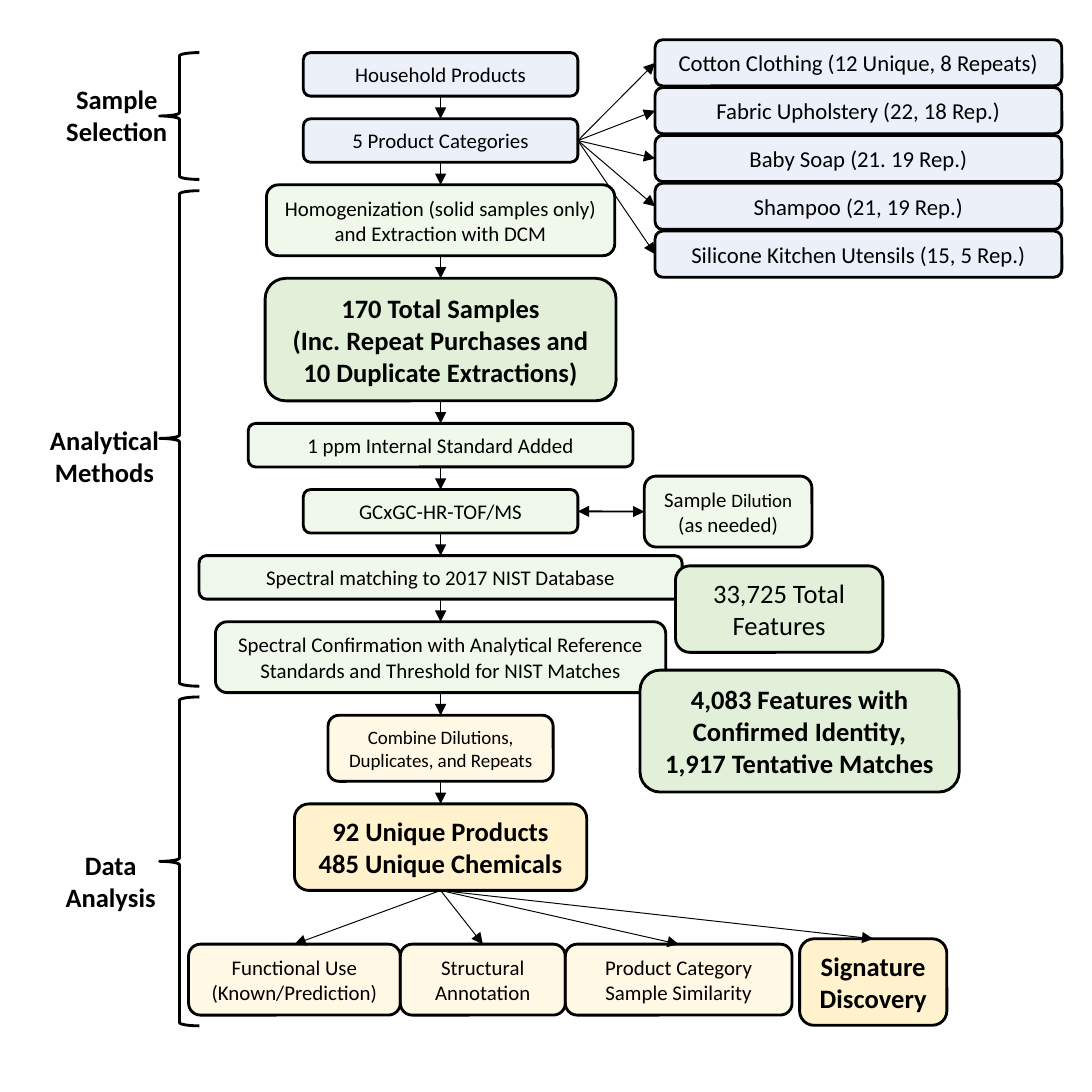
from lxml import etree
from pptx import Presentation
from pptx.dml.color import RGBColor
from pptx.enum.shapes import MSO_CONNECTOR, MSO_SHAPE
from pptx.enum.text import MSO_ANCHOR, MSO_AUTO_SIZE, PP_ALIGN
from pptx.oxml.ns import qn
from pptx.util import Cm, Pt

ROUNDED = MSO_SHAPE.ROUNDED_RECTANGLE
LEFT_BRACE = MSO_SHAPE.LEFT_BRACE
STRAIGHT = MSO_CONNECTOR.STRAIGHT
MIDDLE = MSO_ANCHOR.MIDDLE
TOP_ANCHOR = MSO_ANCHOR.TOP
CENTER = PP_ALIGN.CENTER
GROW = MSO_AUTO_SIZE.SHAPE_TO_FIT_TEXT

FONT = "Calibri"
BLACK = "000000"
BLUE = "DAE3F3"
GREEN = "E2F0D9"
YELLOW = "FFF2CC"
TOP, LEFT, BOTTOM, RIGHT = range(4)


def color(value):
    return RGBColor.from_string(value)


class FlowChart:
    def __init__(self, slide):
        self.shapes = slide.shapes

    def set_text(self, shape, text, size, bold, anchor):
        frame = shape.text_frame
        frame.word_wrap = True
        frame.auto_size = GROW
        frame.vertical_anchor = anchor
        frame.text = text
        for paragraph in frame.paragraphs:
            paragraph.alignment = CENTER
            paragraph.font.name = FONT
            paragraph.font.size = Pt(size)
            paragraph.font.bold = bold
            paragraph.font.color.rgb = color(BLACK)

    def outline(self, kind, left, top, width, height):
        shape = self.shapes.add_shape(kind, Cm(left), Cm(top), Cm(width), Cm(height))
        shape.shadow.inherit = False
        shape.line.color.rgb = color(BLACK)
        shape.line.width = Pt(1.5)
        return shape

    def box(self, left, top, width, height, text, fill, size=11, bold=False, solid=False):
        shape = self.outline(ROUNDED, left, top, width, height)
        shape.fill.solid()
        shape.fill.fore_color.rgb = color(fill)
        if not solid:
            tint = shape._element.spPr.find(qn("a:solidFill")).find(qn("a:srgbClr"))
            etree.SubElement(tint, qn("a:alpha"), val="50000")
        self.set_text(shape, text, size, bold, MIDDLE)
        return shape

    def brace(self, top, height):
        self.outline(LEFT_BRACE, 2.97, top, 0.74, height).fill.background()

    def label(self, left, top, width, text):
        shape = self.shapes.add_textbox(Cm(left), Cm(top), Cm(width), Cm(1.45))
        self.set_text(shape, text, 14, True, TOP_ANCHOR)

    def arrow(self, source, source_side, target, target_side, weight=0.5, double=False):
        connector = self.shapes.add_connector(STRAIGHT, 0, 0, 0, 0)
        connector.begin_connect(source, source_side)
        connector.end_connect(target, target_side)
        connector.line.color.rgb = color(BLACK)
        connector.line.width = Pt(weight)
        properties = connector._element.spPr
        line = properties.find(qn("a:ln"))
        for end in ("headEnd", "tailEnd") if double else ("tailEnd",):
            etree.SubElement(line, qn("a:" + end), type="triangle")
        etree.SubElement(properties, qn("a:effectLst"))


def main():
    presentation = Presentation()
    presentation.slide_width = presentation.slide_height = Cm(20.32)
    slide = presentation.slides.add_slide(presentation.slide_layouts[6])
    chart = FlowChart(slide)

    center, gap = 8.2, 0.42
    plain, strong = {}, {"size": 14, "bold": True, "solid": True}
    steps = [
        ("Household Products", 5.11, 0.81, BLUE, plain),
        ("5 Product Categories", 5.11, 0.81, BLUE, plain),
        ("Homogenization (solid samples only) and Extraction with DCM",
         6.48, 1.32, GREEN, plain),
        ("170 Total Samples\n(Inc. Repeat Purchases and 10 Duplicate Extractions)",
         6.53, 2.28, GREEN, strong),
        ("1 ppm Internal Standard Added", 7.16, 0.81, GREEN, plain),
        ("GCxGC-HR-TOF/MS", 5.11, 0.81, GREEN, plain),
        ("Spectral matching to 2017 NIST Database", 8.99, 0.81, GREEN, plain),
        ("Spectral Confirmation with Analytical Reference Standards and "
         "Threshold for NIST Matches", 8.38, 1.32, GREEN, plain),
        ("Combine Dilutions, Duplicates, and Repeats", 4.19, 1.23, YELLOW, {"size": 10}),
        ("92 Unique Products\n485 Unique Chemicals", 5.44, 1.61, YELLOW, strong),
    ]
    top = 0.98
    flow = []
    for text, width, height, fill, style in steps:
        flow.append(chart.box(center - width / 2, top, width, height, text, fill, **style))
        top += height + gap
    for upper, lower in zip(flow, flow[1:]):
        chart.arrow(upper, BOTTOM, lower, TOP)
    categories_step, instrument, totals = flow[1], flow[5], flow[-1]

    categories = [
        "Cotton Clothing (12 Unique, 8 Repeats)",
        "Fabric Upholstery (22, 18 Rep.)",
        "Baby Soap (21. 19 Rep.)",
        "Shampoo (21, 19 Rep.)",
        "Silicone Kitchen Utensils (15, 5 Rep.)",
    ]
    for index, text in enumerate(categories):
        category = chart.box(12.19, 0.74 + 0.89 * index, 7.57, 0.86, text, BLUE, size=12)
        chart.arrow(categories_step, RIGHT, category, LEFT)

    dilution = chart.box(11.99, 8.86, 3.12, 1.32, "Sample \n(as needed)", GREEN)
    run = dilution.text_frame.paragraphs[0].add_run()
    run.text = "Dilution"
    run.font.size = Pt(10)
    chart.arrow(instrument, RIGHT, dilution, LEFT, weight=1, double=True)

    chart.box(12.57, 10.53, 3.86, 1.61, "33,725 Total Features", GREEN, size=14, solid=True)
    chart.box(11.91, 12.47, 5.94, 2.27,
              "4,083 Features with Confirmed Identity,\n1,917 Tentative Matches",
              GREEN, **strong)

    outcomes = [
        ("Functional Use (Known/Prediction)", 3.51, 17.57, 3.94, 1.32, plain),
        ("Structural Annotation", 7.45, 17.57, 3.07, 1.32, plain),
        ("Product Category Sample Similarity", 10.52, 17.57, 4.22, 1.32, plain),
        ("Signature Discovery", 14.88, 17.47, 2.74, 1.61, strong),
    ]
    for text, left, top, width, height, style in outcomes:
        outcome = chart.box(left, top, width, height, text, YELLOW, **style)
        chart.arrow(totals, BOTTOM, outcome, TOP)

    stages = [
        ("Sample Selection", 0.84, 1.42, 2.67, 0.98, 2.36),
        ("Analytical Methods", 0.61, 7.77, 2.67, 3.55, 9.22),
        ("Data Analysis", 0.89, 15.67, 2.34, 12.97, 6.12),
    ]
    for text, left, top, width, brace_top, brace_height in stages:
        chart.label(left, top, width, text)
        chart.brace(brace_top, brace_height)

    presentation.save("out.pptx")


if __name__ == "__main__":
    main()
